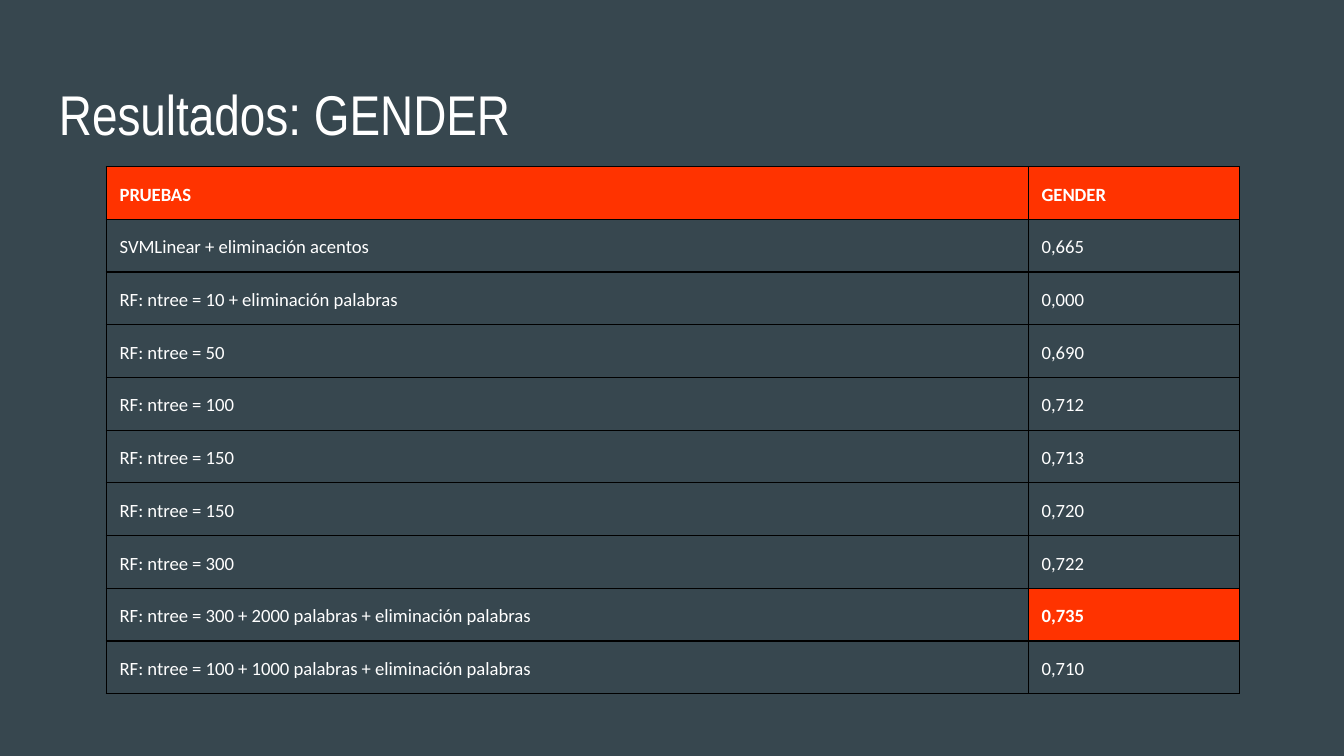
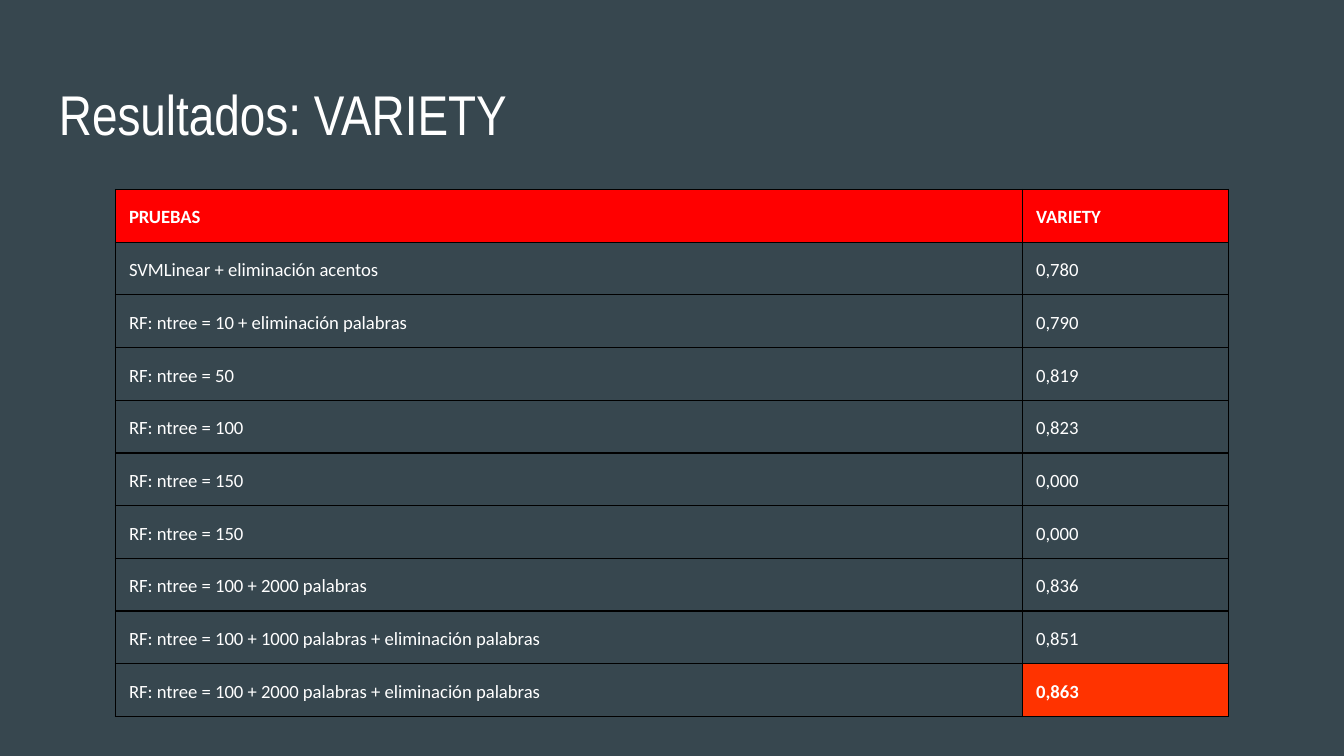
from dataclasses import dataclass

from lxml.etree import SubElement
from pptx import Presentation
from pptx.dml.color import RGBColor
from pptx.enum.text import MSO_ANCHOR
from pptx.oxml.ns import qn
from pptx.util import Inches, Pt

RUNS = [
    "SVMLinear + eliminación acentos",
    "RF: ntree = 10 + eliminación palabras",
    "RF: ntree = 50",
    "RF: ntree = 100",
    "RF: ntree = 150",
    "RF: ntree = 150",
]
SMALL = "RF: ntree = 100 + 1000 palabras + eliminación palabras"

PAGES = [
    {
        "name": "GENDER",
        "head": "FF3300",
        "at": (0.79, 1.24),
        "cols": (6.86, 1.57),
        "rows": (0.25, 0.25),
        "tests": RUNS + [
            "RF: ntree = 300",
            "RF: ntree = 300 + 2000 palabras + eliminación palabras",
            SMALL,
        ],
        "scores": ["0,665", "0,000", "0,690", "0,712", "0,713",
                   "0,720", "0,722", "0,735", "0,710"],
    },
    {
        "name": "VARIETY",
        "head": "FF0000",
        "at": (0.86, 1.41),
        "cols": (6.75, 1.53),
        "rows": (0.26, 0.18),
        "tests": RUNS + [
            "RF: ntree = 100 + 2000 palabras",
            SMALL,
            "RF: ntree = 100 + 2000 palabras + eliminación palabras",
        ],
        "scores": ["0,780", "0,790", "0,819", "0,823", "0,000",
                   "0,000", "0,836", "0,851", "0,863"],
    },
]


@dataclass(frozen=True)
class Theme:
    back: str = "37474F"
    text: str = "FFFFFF"
    best: str = "FF3300"
    line: str = "000000"
    title_font: str = "Arial Narrow"
    body_font: str = "Calibri"
    title_size: int = 30
    body_size: int = 10
    edge: float = 0.75
    inset: float = 0.1


THEME = Theme()


def paint(fill, color):
    fill.solid()
    fill.fore_color.rgb = RGBColor.from_string(color)


def pad(box):
    box.margin_left = box.margin_right = Inches(THEME.inset)
    box.margin_top = box.margin_bottom = Inches(THEME.inset)


def write(para, text, font, size, bold=False):
    run = para.add_run()
    run.text = text
    run.font.name = font
    run.font.size = Pt(size)
    run.font.bold = bold
    run.font.color.rgb = RGBColor.from_string(THEME.text)


def add_title(slide, text):
    box = slide.shapes.add_textbox(Inches(0.34), Inches(0.49), Inches(9.32), Inches(0.63))
    frame = box.text_frame
    frame.word_wrap = True
    frame.vertical_anchor = MSO_ANCHOR.TOP
    pad(frame)
    write(frame.paragraphs[0], text, THEME.title_font, THEME.title_size)


def add_edges(cell):
    props = cell._tc.get_or_add_tcPr()
    for index, side in enumerate(("lnL", "lnR", "lnT", "lnB")):
        line = props.makeelement(qn("a:" + side), {"w": str(Pt(THEME.edge))})
        props.insert(index, line)
        fill = SubElement(line, qn("a:solidFill"))
        SubElement(fill, qn("a:srgbClr"), val=THEME.line)


def fill_cell(cell, text, color):
    pad(cell)
    if color:
        paint(cell.fill, color)
    else:
        cell.fill.background()
    add_edges(cell)
    para = cell.text_frame.paragraphs[0]
    para.line_spacing = 1.15
    write(para, text, THEME.body_font, THEME.body_size, bool(color))


def add_scores(slide, page):
    rows = [("PRUEBAS", page["name"]), *zip(page["tests"], page["scores"])]
    cols = page["cols"]
    left, top = page["at"]
    first, rest = page["rows"]
    highs = [first] + [rest] * len(page["tests"])
    table = slide.shapes.add_table(
        len(rows), len(cols), Inches(left), Inches(top),
        Inches(sum(cols)), Inches(sum(highs)),
    ).table
    table.first_row = table.horz_banding = False
    for col, width in zip(table.columns, cols):
        col.width = Inches(width)
    for row, high in zip(table.rows, highs):
        row.height = Inches(high)
    best = max(page["scores"])
    for y, row in enumerate(rows):
        for x, text in enumerate(row):
            color = page["head"] if y == 0 else THEME.best if text == best else None
            fill_cell(table.cell(y, x), text, color)


def main():
    deck = Presentation()
    deck.slide_width = Inches(10)
    deck.slide_height = deck.slide_width * 9 // 16
    for page in PAGES:
        slide = deck.slides.add_slide(deck.slide_layouts[6])
        paint(slide.background.fill, THEME.back)
        add_title(slide, "Resultados: " + page["name"])
        add_scores(slide, page)
    deck.save("out.pptx")


if __name__ == "__main__":
    main()
